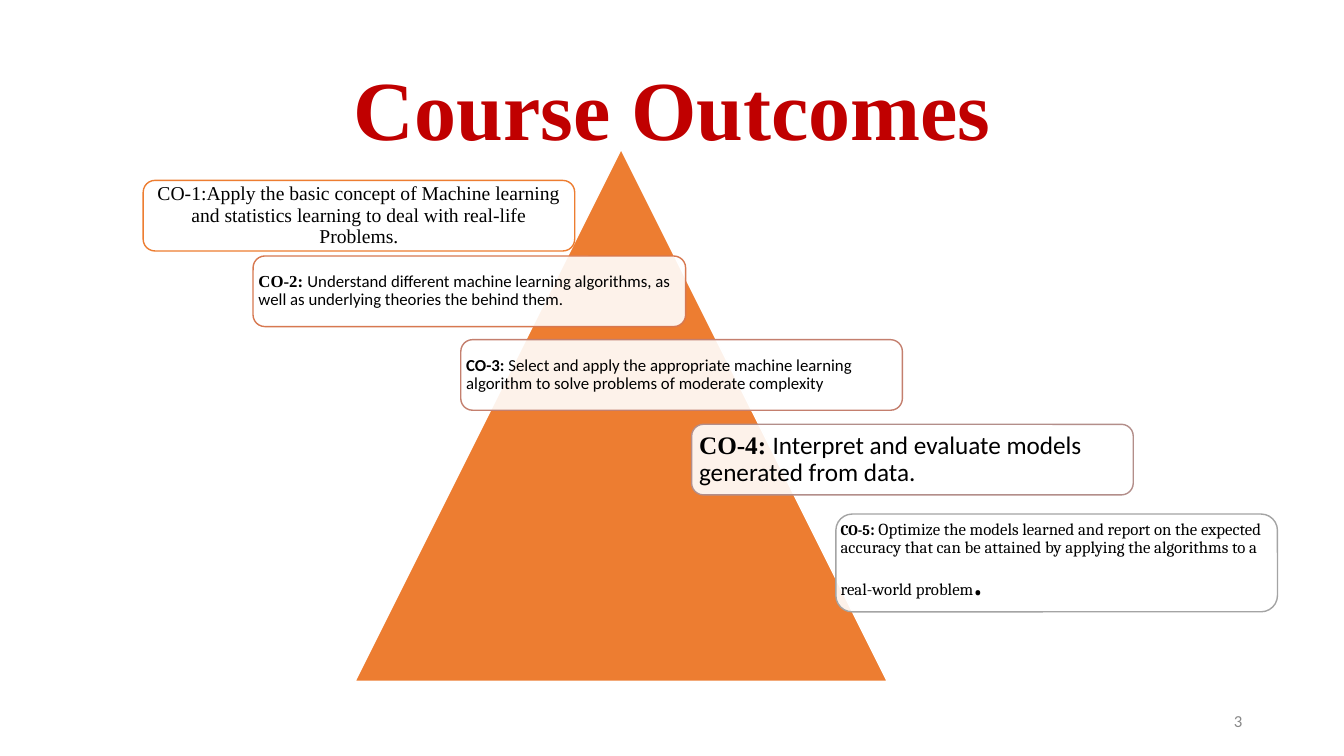
from lxml.etree import SubElement
from pptx import Presentation
from pptx.dml.color import RGBColor
from pptx.enum.shapes import MSO_SHAPE
from pptx.enum.text import MSO_ANCHOR, MSO_AUTO_SIZE, PP_ALIGN
from pptx.oxml.ns import qn
from pptx.util import Emu, Pt

PX = 9144
COLORS = {
    "title": "C00000", "pyramid": "ED7D31", "white": "FFFFFF",
    "text": "000000", "number": "888888",
    "co1": "ED7D31", "co2": "D77850", "co3": "C47F6E",
    "co4": "B38E8A", "co5": "A4A4A4",
}
SERIF, SANS, CAMBRIA = "Times New Roman", "Calibri", "Cambria"
CORNER = 0.167
CORNER_INSET = CORNER * 0.293


class SlideBuilder:
    def __init__(self, deck):
        self.page = deck.slides.add_slide(deck.slide_layouts[5])

    def color(self, name):
        return RGBColor.from_string(COLORS[name])

    def place(self, item, bounds):
        item.left, item.top, item.width, item.height = (Emu(n * PX) for n in bounds)

    def style(self, font, family, size, bold):
        font.name, font.size, font.bold = family, Pt(size), bold

    def frame(self, box, margins):
        frame = box.text_frame
        frame.word_wrap = True
        frame.auto_size = MSO_AUTO_SIZE.NONE
        frame.vertical_anchor = MSO_ANCHOR.MIDDLE
        (frame.margin_left, frame.margin_top,
         frame.margin_right, frame.margin_bottom) = (Emu(n * PX) for n in margins)
        return frame

    def label(self, box, text, align, family, size, color, bold=False):
        frame = self.frame(box, (10, 5, 10, 5))
        frame.text = text
        para = frame.paragraphs[0]
        para.alignment = align
        self.style(para.font, family, size, bold)
        para.font.color.rgb = self.color(color)
        return para

    def title(self, text, bounds):
        box = self.page.shapes.title
        self.place(box, bounds)
        para = self.label(box, text, PP_ALIGN.CENTER, SERIF, 60, "title", True)
        para.line_spacing = 0.9

    def number(self, text, bounds):
        box = self.page.shapes.add_textbox(*(Emu(n * PX) for n in bounds))
        self.label(box, text, PP_ALIGN.RIGHT, SANS, 12, "number")

    def shape(self, kind, bounds, fill, line):
        box = self.page.shapes.add_shape(kind, *(Emu(n * PX) for n in bounds))
        box.shadow.inherit = False
        box.fill.solid()
        box.fill.fore_color.rgb = self.color(fill)
        box.line.color.rgb = self.color(line)
        box.line.width = Pt(1)
        return box

    def outcome(self, bounds, line, inset, align, spans):
        box = self.shape(MSO_SHAPE.ROUNDED_RECTANGLE, bounds, "white", line)
        box.adjustments[0] = CORNER
        fill_color = box.fill._xPr.find(qn("a:solidFill"))[0]
        SubElement(fill_color, qn("a:alpha"), val="90000")
        margin = inset - round(bounds[3] * CORNER_INSET)
        para = self.frame(box, [margin] * 4).paragraphs[0]
        para.alignment = align
        para.line_spacing = 0.9
        para.font.color.rgb = self.color("text")
        for text, family, size, bold in spans:
            span = para.add_run()
            span.text = text
            self.style(span.font, family, size, bold)


OUTCOMES = [
    ((142, 179, 428, 70), "co1", 6, PP_ALIGN.CENTER, [
        ("CO-1:Apply the basic concept of Machine learning and statistics "
         "learning to deal with real-life Problems.", SERIF, 14, False)]),
    ((251, 254, 429, 70), "co2", 5, PP_ALIGN.LEFT, [
        ("CO-2: ", SERIF, 12, True),
        ("Understand different machine learning algorithms, as well as "
         "underlying theories the behind them.", SANS, 12, False)]),
    ((457, 337, 438, 70), "co3", 5, PP_ALIGN.LEFT, [
        ("CO-3: ", SANS, 12, True),
        ("Select and apply the appropriate machine learning algorithm to "
         "solve problems of moderate complexity", SANS, 12, False)]),
    ((686, 421, 438, 70), "co4", 7, PP_ALIGN.LEFT, [
        ("CO-4: ", SERIF, 18, True),
        ("Interpret and evaluate models generated from data.", SANS, 18, False)]),
    ((829, 510, 438, 97), "co5", 5, PP_ALIGN.LEFT, [
        ("CO-5", CAMBRIA, 10.5, True),
        (": ", CAMBRIA, 12, True),
        ("Optimize the models learned and report on the expected accuracy that "
         "can be attained by applying the algorithms to a real-world problem",
         CAMBRIA, 12, False),
        (".", CAMBRIA, 32, False)]),
]


def main():
    deck = Presentation()
    deck.slide_width, deck.slide_height = Emu(1333 * PX), Emu(750 * PX)
    builder = SlideBuilder(deck)
    builder.title("Course Outcomes", (92, 40, 1150, 145))
    builder.number("3", (942, 695, 300, 40))
    builder.shape(MSO_SHAPE.ISOSCELES_TRIANGLE, (352, 148, 528, 528), "pyramid", "white")
    for outcome in OUTCOMES:
        builder.outcome(*outcome)
    deck.save("out.pptx")


if __name__ == "__main__":
    main()
